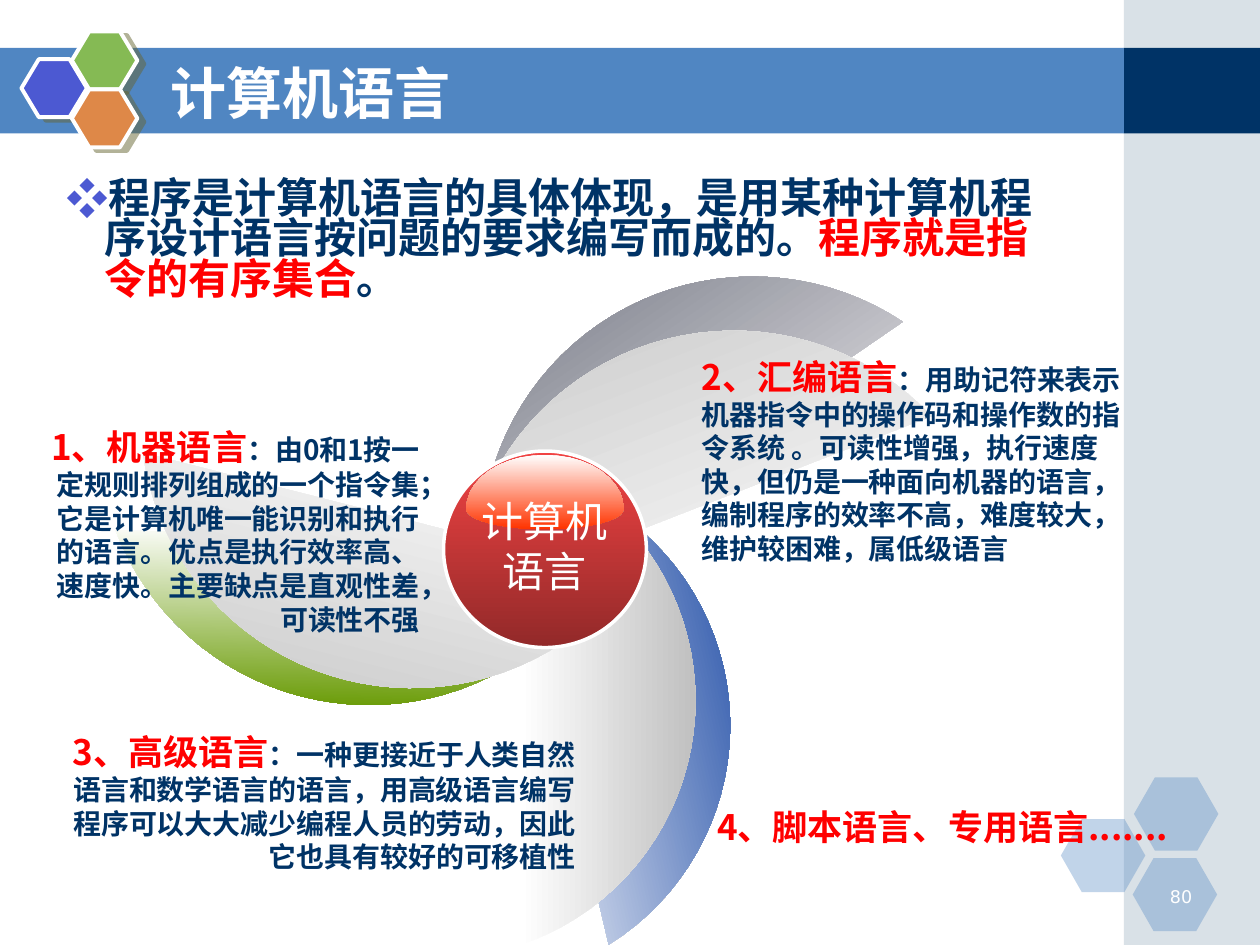
from dataclasses import dataclass
from math import asin, cos, pi, sin

from lxml.etree import SubElement
from pptx import Presentation
from pptx.dml.color import RGBColor
from pptx.enum.shapes import MSO_SHAPE
from pptx.enum.text import MSO_ANCHOR, MSO_AUTO_SIZE, PP_ALIGN
from pptx.oxml.ns import qn
from pptx.util import Inches, Pt

COLORS = {
    "white": "FFFFFF", "band": "5086C2", "panel": "A0B5C4", "navy": "003366",
    "violet": "4C59D2", "leaf": "85BA54", "orange": "DE8848", "shade": "666633",
    "red": "FF0000", "blue": "003399", "green": "669900", "slate": "565868",
    "silver": "C0C0C0", "ball_top": "F14343", "ball_base": "922929", "glow": "FF3300",
}
FONT = "Noto Sans CJK SC"
WIDTH, HEIGHT = Inches(10), Inches(7.5)
COLUMN, ROW = WIDTH / 100, HEIGHT / 75
STEPS = 40


@dataclass
class Box:
    """An area of the slide, in columns and rows."""
    x: float
    y: float
    w: float
    h: float

    def inner(self, x, y, w, h):
        return Box(self.x + x, self.y + y, w, h)

    def lengths(self):
        return [round(n * unit) for n, unit in
                zip((self.x, self.y, self.w, self.h), (COLUMN, ROW, COLUMN, ROW))]


def rgb(name):
    return RGBColor.from_string(COLORS[name])


def paint(shape, color, alpha=None, line_width=None):
    shape.shadow.inherit = False
    shape.fill.solid()
    shape.fill.fore_color.rgb = rgb(color)
    if alpha:
        tint = next(shape._element.spPr.iter(qn("a:srgbClr")))
        SubElement(tint, qn("a:alpha"), val=str(alpha * 1000))
    outline(shape, line_width)


def paint_gradient(shape, start, end, angle=0, line_width=None):
    shape.shadow.inherit = False
    shape.fill.gradient()
    shape.fill.gradient_angle = angle
    for stop, color in zip(shape.fill.gradient_stops, (start, end)):
        stop.color.rgb = rgb(color)
    outline(shape, line_width)


def outline(shape, width):
    if width:
        shape.line.color.rgb = rgb("white")
        shape.line.width = Pt(width)
    else:
        shape.line.fill.background()


def add_preset(page, kind, box):
    return page.shapes.add_shape(kind, *box.lengths())


def add_hexagon(page, box, inset):
    shape = add_preset(page, MSO_SHAPE.HEXAGON, box)
    shape.adjustments[0], shape.adjustments[1] = inset, 1.155
    return shape


def add_outline(page, points):
    """Closed freeform through points given in columns and rows."""
    corners = [(round(x * COLUMN), round(y * ROW)) for x, y in points]
    builder = page.shapes.build_freeform(*corners[0])
    builder.add_line_segments(corners[1:], close=True)
    return builder.convert_to_shape()


def add_span(para, text, size, color, bold=True, font=FONT):
    span = para.add_run()
    span.text = text
    style = {"size": Pt(size), "bold": bold, "name": font}
    for name, value in style.items():
        setattr(span.font, name, value)
    span.font.color.rgb = rgb(color)
    SubElement(span._r.get_or_add_rPr(), qn("a:ea"), typeface=font)


def add_text(page, box, paragraphs, align=PP_ALIGN.LEFT, wrap=True):
    """Text box; each paragraph is a list of argument tuples for add_span."""
    frame = page.shapes.add_textbox(*box.lengths()).text_frame
    frame.word_wrap = wrap
    for index, spans in enumerate(paragraphs):
        para = frame.add_paragraph() if index else frame.paragraphs[0]
        para.alignment = align
        for span in spans:
            add_span(para, *span)
    return frame


def side_panel(page, box):
    paint(add_preset(page, MSO_SHAPE.RECTANGLE, box), "panel", alpha=40)
    paint(add_preset(page, MSO_SHAPE.RECTANGLE, box.inner(0, 3.8, box.w, 6.8)), "navy")
    for x, y in ((-5, 65), (0.8, 61.7), (0.7, 68.1)):
        paint(add_hexagon(page, box.inner(x, y, 6.7, 5.8), 0.286), "band", alpha=35)
    add_text(page, box.inner(1.4, 69.8, 5, 2.5),
             [[("80", 10, "white", False, "DejaVu Sans")]], PP_ALIGN.RIGHT)


def header_emblem(page, box):
    for x, y, color in ((0, 2.2, "violet"), (4, 0, "leaf"), (4, 4.6, "orange")):
        cell = add_hexagon(page, box.inner(x, y, 5.2, 4.6), 0.3)
        paint(cell, color, line_width=2.25)
        effects = cell._element.spPr.find(qn("a:effectLst"))
        shadow = SubElement(effects, qn("a:outerShdw"), dist=str(Pt(4.5)),
                            dir=str(27 * 60000), algn="ctr", rotWithShape="0")
        tint = SubElement(shadow, qn("a:srgbClr"), val=COLORS["shade"])
        SubElement(tint, qn("a:alpha"), val="50000")


def header(page, box):
    paint(add_preset(page, MSO_SHAPE.RECTANGLE, box), "band")
    header_emblem(page, box.inner(1.7, -1.3, 9.2, 9.2))
    title = page.shapes.title
    page.shapes._spTree.append(title._element)
    title.left, title.top, title.width, title.height = box.inner(12.5, 0.4, 73.3, 6.2).lengths()
    frame = title.text_frame
    frame.auto_size = MSO_AUTO_SIZE.NONE
    frame.vertical_anchor = MSO_ANCHOR.MIDDLE
    frame.paragraphs[0].alignment = PP_ALIGN.LEFT
    add_span(frame.paragraphs[0], "计算机语言", 32, "white")


def definition(page, box):
    frame = add_text(page, box, [[
        ("程序是计算机语言的具体体现，是用某种计算机程序设计语言按问题的要求编写而成的。", 24, "navy"),
        ("程序就是指令的有序集合", 24, "red"), ("。", 24, "navy")]])
    para = frame.paragraphs[0]
    para.line_spacing = 0.8
    props = para._p.get_or_add_pPr()
    props.set("marL", str(Inches(0.3)))
    props.set("indent", str(-Inches(0.3)))
    SubElement(SubElement(props, qn("a:buClr")), qn("a:srgbClr"), val=COLORS["violet"])
    SubElement(props, qn("a:buFont"), typeface=FONT)
    SubElement(props, qn("a:buChar"), char="❖")


def blade(page, box, turn, color):
    """Circle segment with its chord on the left of the box, then turned."""
    half = box.h / 2
    radius = (half ** 2 + box.w ** 2) / (2 * box.w)
    reach = asin(half / radius)
    angles = [reach * (2 * i / STEPS - 1) for i in range(STEPS + 1)]
    shape = add_outline(page, [(box.x + box.w - radius + radius * cos(a),
                                box.y + half + radius * sin(a)) for a in angles])
    paint_gradient(shape, "white", color)
    shape.rotation = turn


def ball(page, box):
    paint_gradient(add_preset(page, MSO_SHAPE.OVAL, box), "ball_top", "ball_base", 270, 2)
    middle, level = box.x + box.w / 2, box.y + 4.6
    angles = [2 * pi * i / STEPS for i in range(STEPS)]
    gloss = add_outline(page, [(middle + 6.25 * cos(a),
                                level + (1.6 if sin(a) > 0 else 4.3) * sin(a)) for a in angles])
    paint_gradient(gloss, "white", "glow", 270)
    add_text(page, box.inner(2, 3, 12, 9),
             [[(line, 24, "white", False)] for line in ("计算机", "语言")],
             PP_ALIGN.CENTER, wrap=False)


def pinwheel(page, box):
    for x, y, w, h, turn, color in (
            (21.4, 23.8, 13.9, 38.8, 346.8, "blue"), (0, 17.9, 13.5, 40, 91, "green"),
            (22.3, 0, 13.5, 40, 235.5, "slate"), (19, 24.9, 13.9, 38.8, 0, "silver"),
            (0, 16.1, 13.5, 40, 104.3, "silver"), (23.8, 2.7, 13.5, 40, 248.7, "silver")):
        blade(page, box.inner(x, y, w, h), turn, color)
    ball(page, box.inner(12.9, 24.5, 16.1, 15.6))


def language_notes(page, box):
    right, left = PP_ALIGN.RIGHT, PP_ALIGN.LEFT
    for area, align, name, detail in (
            ((0, 5.6, 32.3, 17.7), right, "1、机器语言",
             "：由0和1按一定规则排列组成的一个指令集；它是计算机唯一能识别和执行的语言。"
             "优点是执行效率高、速度快。主要缺点是直观性差，可读性不强"),
            ((52.7, 0, 35.4, 17.7), left, "2、汇编语言",
             "：用助记符来表示机器指令中的操作码和操作数的指令系统 。可读性增强，执行速度快，"
             "但仍是一种面向机器的语言，编制程序的效率不高，难度较大，维护较困难，属低级语言"),
            ((2.3, 29.8, 42.4, 12.4), right, "3、高级语言",
             "：一种更接近于人类自然语言和数学语言的语言，用高级语言编写程序可以大大减少"
             "编程人员的劳动，因此它也具有较好的可移植性"),
            ((49.3, 35.7, 42.4, 4.4), right, "4、脚本语言、专用语言.......", "")):
        spans = [(name, 20, "red")] + ([(detail, 16, "navy")] if detail else [])
        add_text(page, box.inner(*area), [spans], align)


def main():
    deck = Presentation()
    deck.slide_width, deck.slide_height = WIDTH, HEIGHT
    page = deck.slides.add_slide(deck.slide_layouts[5])
    side_panel(page, Box(89.2, 0, 10.8, 75))
    header(page, Box(0, 3.8, 89.2, 6.8))
    definition(page, Box(4.3, 13.9, 79.1, 11.8))
    pinwheel(page, Box(22.3, 11.3, 37.3, 63.7))
    language_notes(page, Box(2, 27.7, 91.7, 42.2))
    deck.save("out.pptx")


if __name__ == "__main__":
    main()
